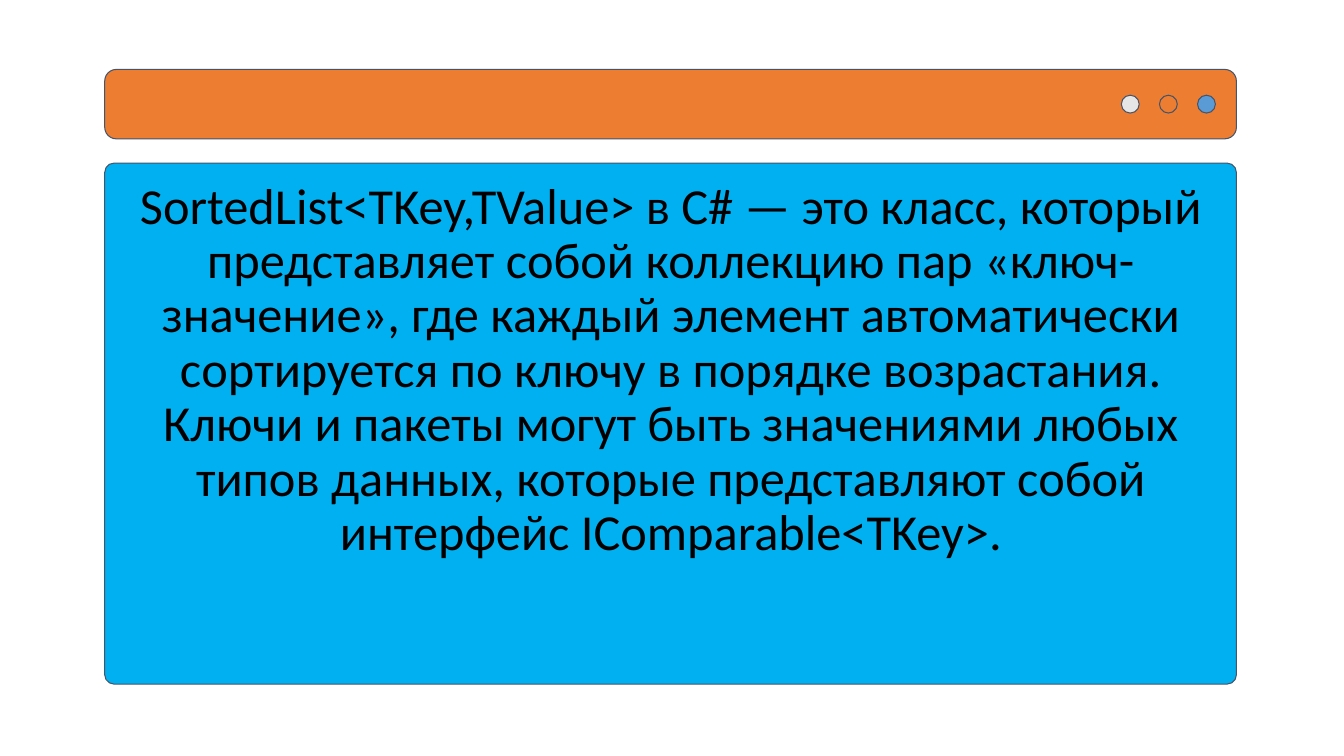
from pptx import Presentation
from pptx.dml.color import RGBColor
from pptx.enum.shapes import MSO_SHAPE
from pptx.enum.text import MSO_ANCHOR, MSO_AUTO_SIZE, PP_ALIGN
from pptx.util import Cm, Pt

ROUNDED, OVAL = MSO_SHAPE.ROUNDED_RECTANGLE, MSO_SHAPE.OVAL
TOP, NO_FIT, CENTER = MSO_ANCHOR.TOP, MSO_AUTO_SIZE.NONE, PP_ALIGN.CENTER
TITLE_ONLY = 5

# Content
TEXT = (
    "SortedList<TKey,TValue> в C# — это класс, который представляет собой "
    "коллекцию пар «ключ-значение», где каждый элемент автоматически "
    "сортируется по ключу в порядке возрастания. Ключи и пакеты могут быть "
    "значениями любых типов данных, которые представляют собой интерфейс "
    "IComparable<TKey>."
)
COLORS = {
    "panel": "00B0F0",
    "bar": "ED7D31",
    "outline": "44546A",
    "text": "000000",
    "gray": "E7E6E6",
    "orange": "ED7D31",
    "blue": "5B9BD5",
}
BUTTONS = ["gray", "orange", "blue"]

# Layout in centimetres
LEFT, WIDTH = 2.64, 28.52
BAR_TOP, BAR_HEIGHT = 1.75, 1.75
PANEL_TOP, PANEL_HEIGHT = 4.11, 13.13
BUTTON_LEFT, BUTTON_SIZE, BUTTON_STEP = 28.26, 0.45, 0.96
BUTTON_TOP = BAR_TOP + (BAR_HEIGHT - BUTTON_SIZE) / 2


def color(name):
    return RGBColor.from_string(COLORS[name])


def add_outlined(slide, kind, left, top, width, height, fill):
    shape = slide.shapes.add_shape(kind, Cm(left), Cm(top), Cm(width), Cm(height))
    shape.shadow.inherit = False
    shape.fill.solid()
    shape.fill.fore_color.rgb = color(fill)
    shape.line.color.rgb = color("outline")
    shape.line.width = Pt(0.75)
    return shape


def main():
    deck = Presentation()
    deck.slide_width, deck.slide_height = Cm(33.87), Cm(19.05)
    slide = deck.slides.add_slide(deck.slide_layouts[TITLE_ONLY])

    # Window panel
    panel = add_outlined(slide, ROUNDED, LEFT, PANEL_TOP, WIDTH, PANEL_HEIGHT, "panel")
    panel.adjustments[0] = 0.018

    # Title, raised above the panel
    title = slide.shapes.title
    panel._element.addnext(title._element)
    title.left, title.top = Cm(3.18), Cm(4.55)
    title.width, title.height = Cm(27.46), Cm(12.12)
    frame = title.text_frame
    frame.text = TEXT
    frame.word_wrap = True
    frame.auto_size = NO_FIT
    frame.vertical_anchor = TOP
    frame.margin_left = frame.margin_right = 0
    frame.margin_top = frame.margin_bottom = 0
    para = frame.paragraphs[0]
    para.alignment = CENTER
    para.line_spacing = 0.9
    font = para.runs[0].font
    font.name, font.size = "Calibri", Pt(36)
    font.color.rgb = color("text")

    # Window bar with its buttons
    bar = add_outlined(slide, ROUNDED, LEFT, BAR_TOP, WIDTH, BAR_HEIGHT, "bar")
    bar.adjustments[0] = 0.167
    for index, fill in enumerate(BUTTONS):
        left = BUTTON_LEFT + index * BUTTON_STEP
        add_outlined(slide, OVAL, left, BUTTON_TOP, BUTTON_SIZE, BUTTON_SIZE, fill)

    deck.save("out.pptx")


if __name__ == "__main__":
    main()
